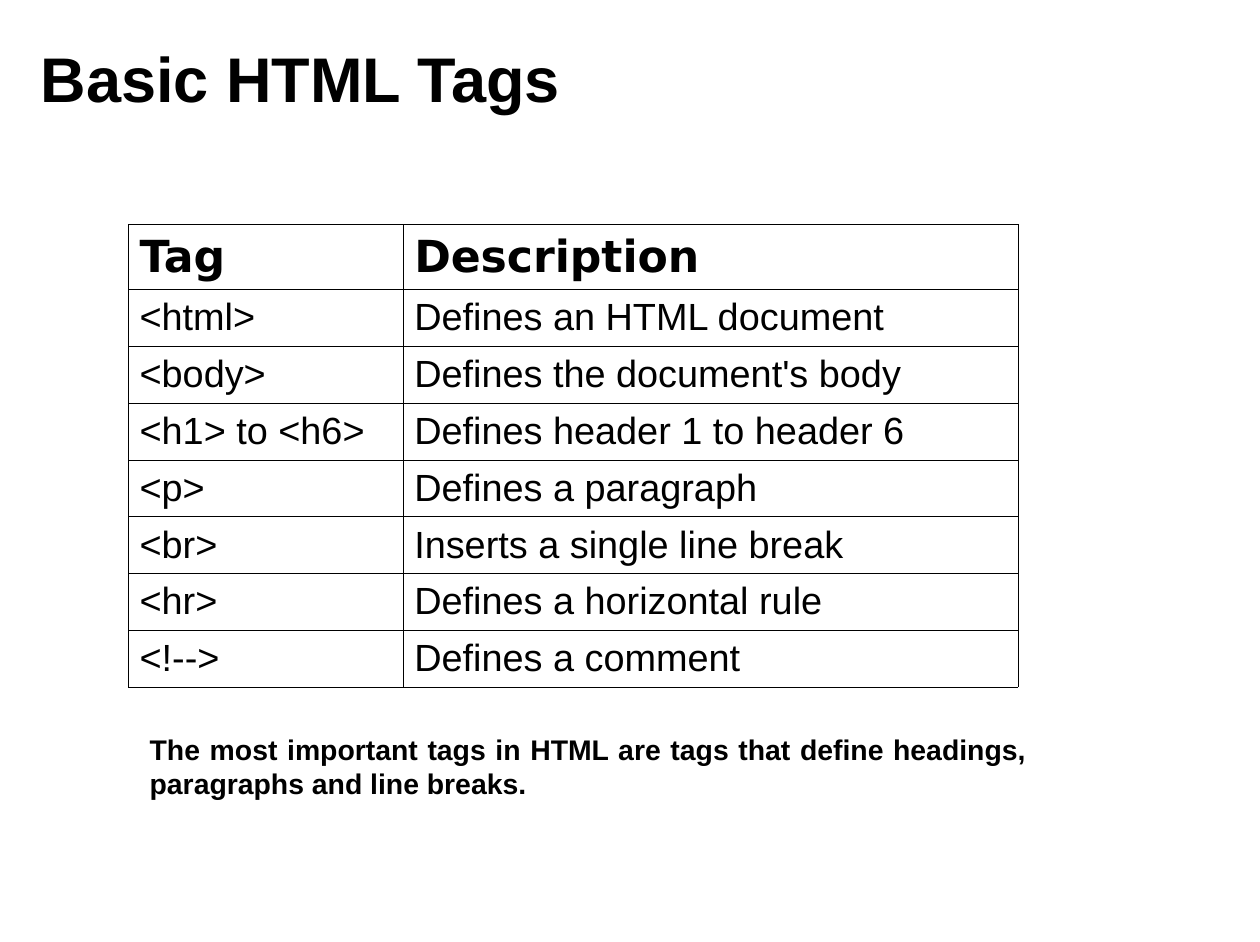
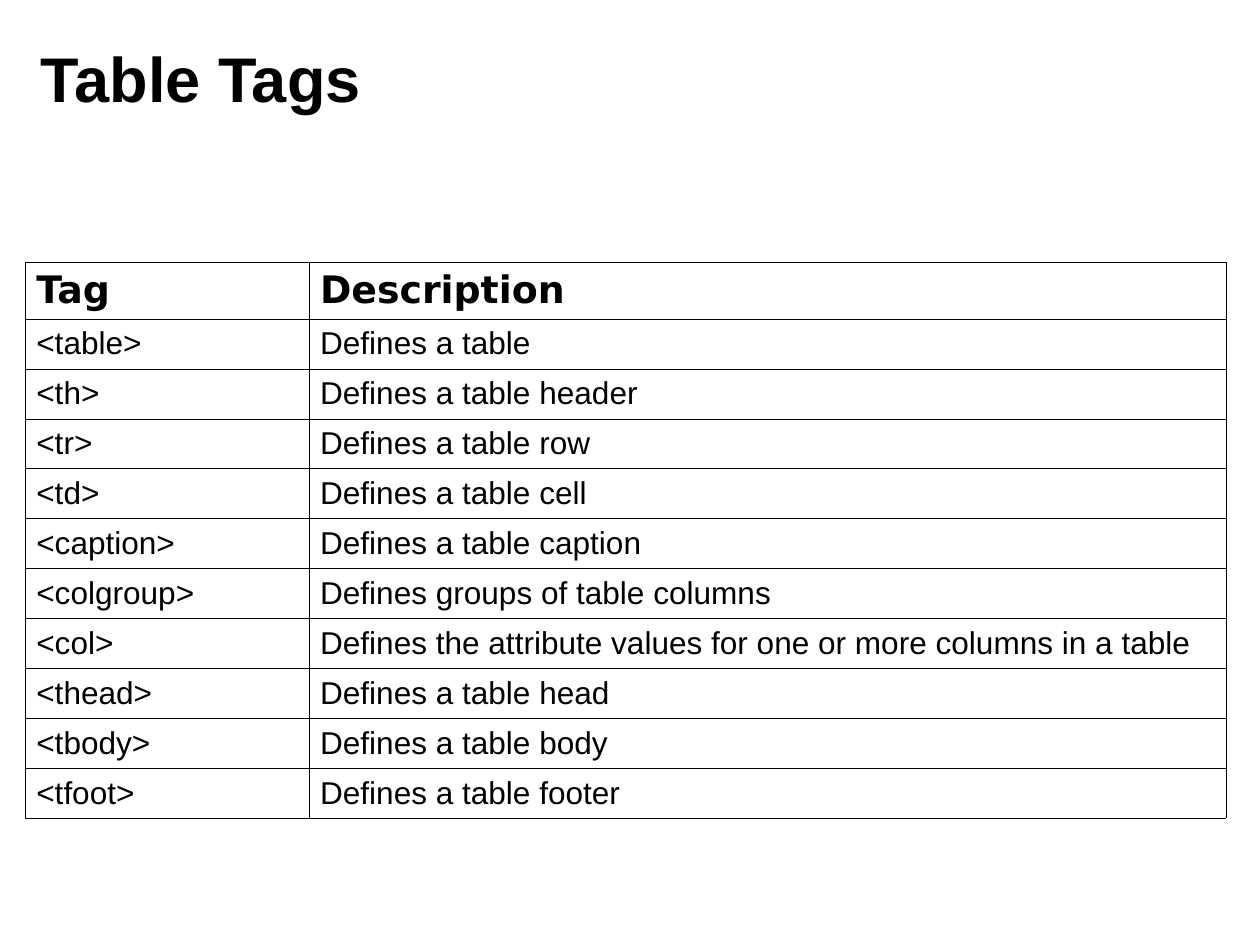
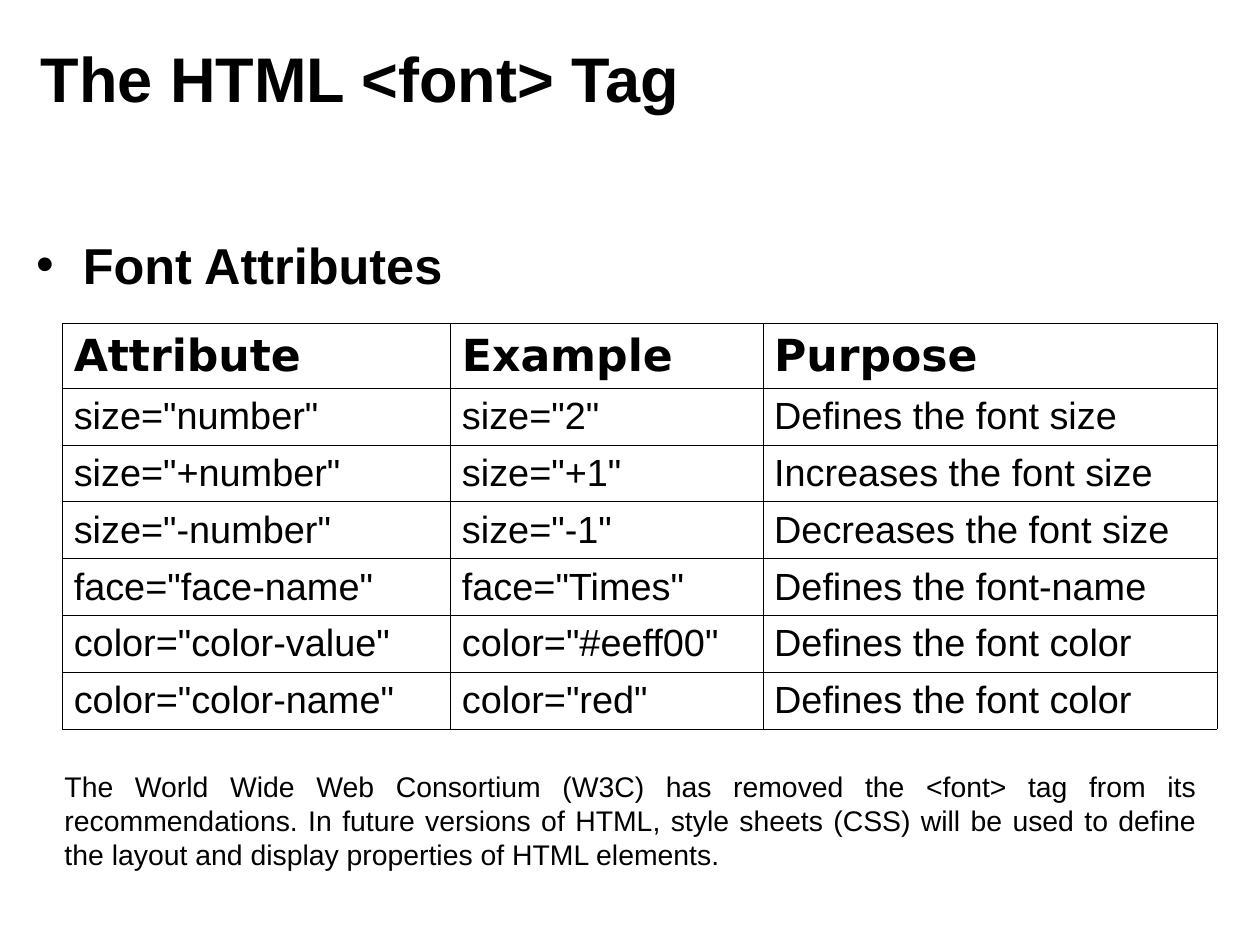
from lxml import etree
from pptx import Presentation
from pptx import util as u
from pptx.dml.color import RGBColor
from pptx.enum import text as t
from pptx.oxml import ns

BLACK = RGBColor(0x00, 0x00, 0x00)
BODY_FONT = "Arial"
HEADER_FONT = "DejaVu Sans"
SLIDE_SIZE = (11.1, 8.3)
TITLE_BOX = (0.25, 0.17, 8.92, 1.02)
PLACEHOLDER_INSETS = (0.11, 0.06)
INSETS = (0.1, 0.05)
BORDER_WIDTH = 0.34
BULLET_INDENT = 0.41

# Content: heights are (header row, other rows), sizes (header, body)
SLIDES = [
    {
        "title": "Basic HTML Tags",
        "table": {
            "at": (1.13, 1.98), "columns": (2.42, 5.42),
            "heights": (0.57, 0.5), "sizes": (28, 24),
            "rows": [
                ("Tag", "Description"),
                ("<html>", "Defines an HTML document"),
                ("<body>", "Defines the document's body"),
                ("<h1> to <h6>", "Defines header 1 to header 6"),
                ("<p>", "Defines a paragraph"),
                ("<br>", "Inserts a single line break"),
                ("<hr>", "Defines a horizontal rule"),
                ("<!-->", "Defines a comment"),
            ],
        },
        "note": {
            "text": "The most important tags in HTML are tags that define "
                    "headings, paragraphs and line breaks.",
            "at": (1.22, 6.4, 7.92, 0.7), "bold": True,
        },
    },
    {
        "title": "Table Tags",
        "table": {
            "at": (0.22, 2.31), "columns": (2.5, 8.08),
            "heights": (0.5, 0.44), "sizes": (24, 20),
            "rows": [
                ("Tag", "Description"),
                ("<table>", "Defines a table"),
                ("<th>", "Defines a table header"),
                ("<tr>", "Defines a table row"),
                ("<td>", "Defines a table cell"),
                ("<caption>", "Defines a table caption"),
                ("<colgroup>", "Defines groups of table columns"),
                ("<col>", "Defines the attribute values for one or more "
                          "columns in a table"),
                ("<thead>", "Defines a table head"),
                ("<tbody>", "Defines a table body"),
                ("<tfoot>", "Defines a table footer"),
            ],
        },
    },
    {
        "title": "The HTML <font> Tag",
        "bullet": {"text": "Font Attributes", "at": (0.21, 2, 10.67, 5.33)},
        "table": {
            "at": (0.55, 2.85), "columns": (3.42, 2.75, 4),
            "heights": (0.57, 0.5), "sizes": (28, 24),
            "rows": [
                ("Attribute", "Example", "Purpose"),
                ('size="number"', 'size="2"', "Defines the font size"),
                ('size="+number"', 'size="+1"', "Increases the font size"),
                ('size="-number"', 'size="-1"', "Decreases the font size"),
                ('face="face-name"', 'face="Times"', "Defines the font-name"),
                ('color="color-value"', 'color="#eeff00"',
                 "Defines the font color"),
                ('color="color-name"', 'color="red"',
                 "Defines the font color"),
            ],
        },
        "note": {
            "text": "The World Wide Web Consortium (W3C) has removed the "
                    "<font> tag from its recommendations. In future versions "
                    "of HTML, style sheets (CSS) will be used to define the "
                    "layout and display properties of HTML elements.",
            "at": (0.47, 6.73, 10.17, 1), "bold": False,
        },
    },
]


def write_text(holder, words, *, size, font=BODY_FONT, bold=False,
               align=t.PP_ALIGN.LEFT, bullet=False):
    """Write one formatted paragraph into a text frame."""
    para = holder.paragraphs[0]
    para.alignment = align
    if bullet:
        props = para._p.get_or_add_pPr()
        props.set("marL", str(u.Inches(BULLET_INDENT)))
        props.set("indent", str(-u.Inches(BULLET_INDENT)))
        etree.SubElement(props, ns.qn("a:buFont"), typeface=BODY_FONT)
        etree.SubElement(props, ns.qn("a:buChar"), char="•")
    span = para.add_run()
    span.text = words
    span.font.name = font
    span.font.size = u.Pt(size)
    span.font.bold = bold
    span.font.color.rgb = BLACK


def add_text_box(page, words, at, *, insets=INSETS,
                 anchor=t.MSO_ANCHOR.MIDDLE, grow=False, **style):
    box = page.shapes.add_textbox(*map(u.Inches, at))
    frame = box.text_frame
    frame.word_wrap = True
    frame.vertical_anchor = anchor
    frame.margin_left = frame.margin_right = u.Inches(insets[0])
    frame.margin_top = frame.margin_bottom = u.Inches(insets[1])
    if grow:
        frame.auto_size = t.MSO_AUTO_SIZE.SHAPE_TO_FIT_TEXT
    write_text(frame, words, **style)


def draw_borders(cell):
    props = cell._tc.get_or_add_tcPr()
    for side in ("lnL", "lnR", "lnT", "lnB"):
        line = etree.SubElement(props, ns.qn(f"a:{side}"),
                                w=str(u.Pt(BORDER_WIDTH)))
        fill = etree.SubElement(line, ns.qn("a:solidFill"))
        etree.SubElement(fill, ns.qn("a:srgbClr"), val=str(BLACK))


def add_grid(page, at, columns, heights, sizes, rows):
    row_heights = [heights[0]] + [heights[1]] * (len(rows) - 1)
    extent = (*at, sum(columns), sum(row_heights))
    table = page.shapes.add_table(len(rows), len(columns),
                                  *map(u.Inches, extent)).table
    table.first_row = table.horz_banding = False
    for column, width in zip(table.columns, columns):
        column.width = u.Inches(width)
    for index, (row, height) in enumerate(zip(table.rows, row_heights)):
        row.height = u.Inches(height)
        header = index == 0
        for cell, words in zip(row.cells, rows[index]):
            draw_borders(cell)
            cell.fill.background()
            cell.vertical_anchor = t.MSO_ANCHOR.MIDDLE
            cell.margin_left = cell.margin_right = u.Inches(INSETS[0])
            cell.margin_top = cell.margin_bottom = u.Inches(INSETS[1])
            write_text(cell.text_frame, words, bold=header,
                       size=sizes[0] if header else sizes[1],
                       font=HEADER_FONT if header else BODY_FONT)


def main():
    deck = Presentation()
    deck.slide_width, deck.slide_height = map(u.Inches, SLIDE_SIZE)
    for content in SLIDES:
        page = deck.slides.add_slide(deck.slide_layouts[6])
        add_text_box(page, content["title"], TITLE_BOX, size=40, bold=True,
                     insets=PLACEHOLDER_INSETS)
        if "bullet" in content:
            bullet = content["bullet"]
            add_text_box(page, bullet["text"], bullet["at"], size=32,
                         bold=True, bullet=True, insets=PLACEHOLDER_INSETS,
                         anchor=t.MSO_ANCHOR.TOP)
        add_grid(page, **content["table"])
        if "note" in content:
            note = content["note"]
            add_text_box(page, note["text"], note["at"], size=18, grow=True,
                         bold=note["bold"], align=t.PP_ALIGN.JUSTIFY)
    deck.save("out.pptx")


if __name__ == "__main__":
    main()
